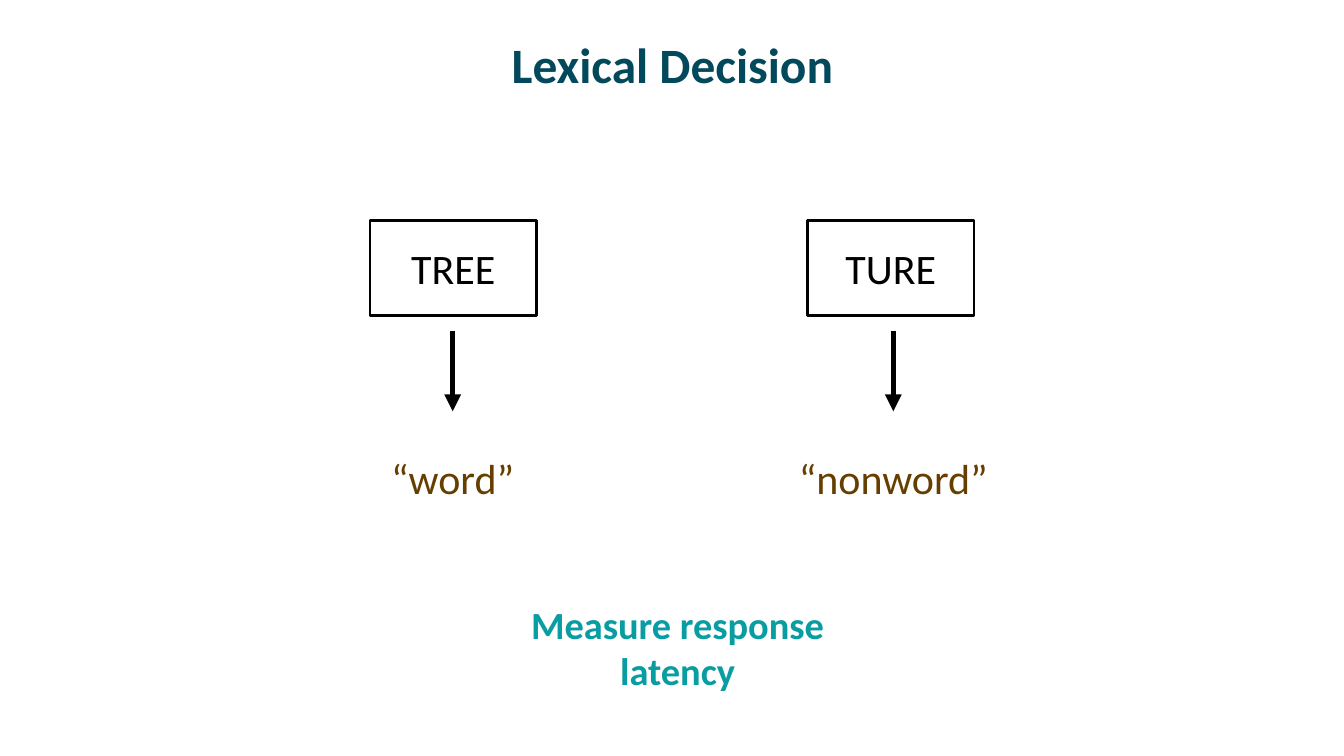
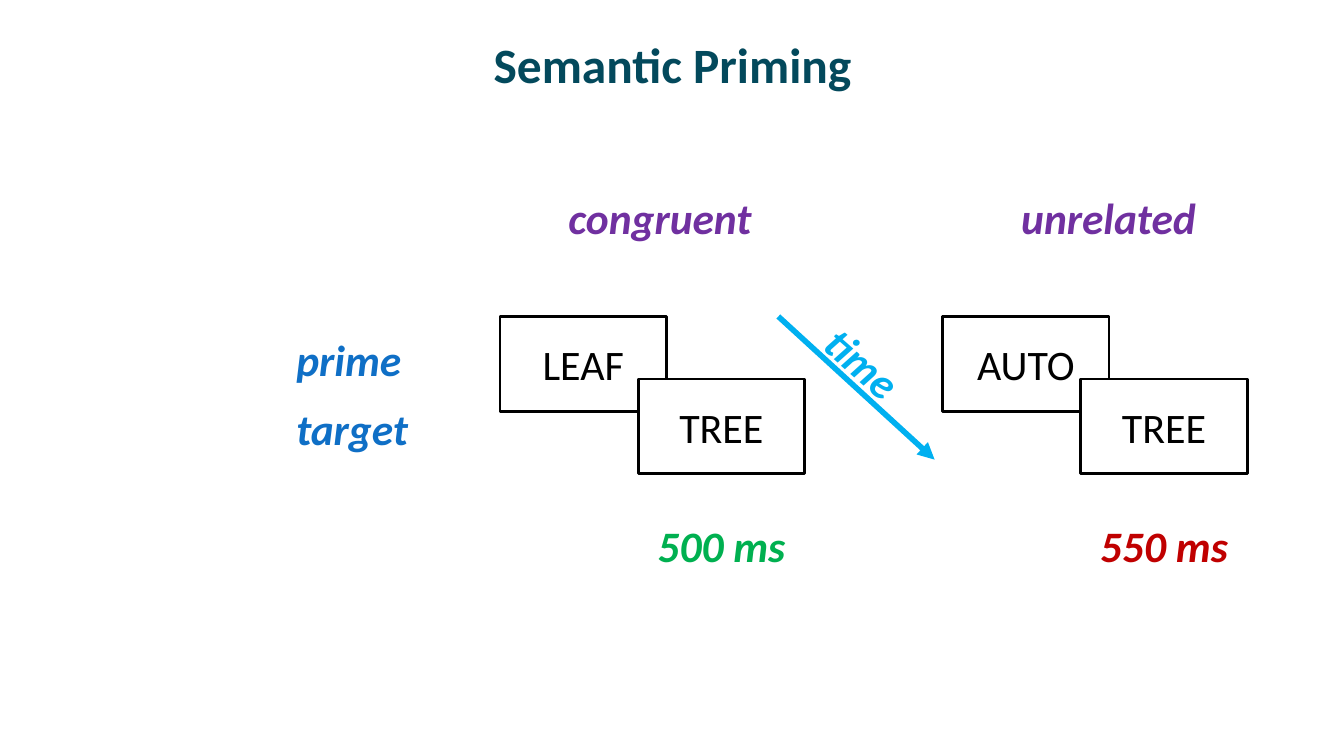
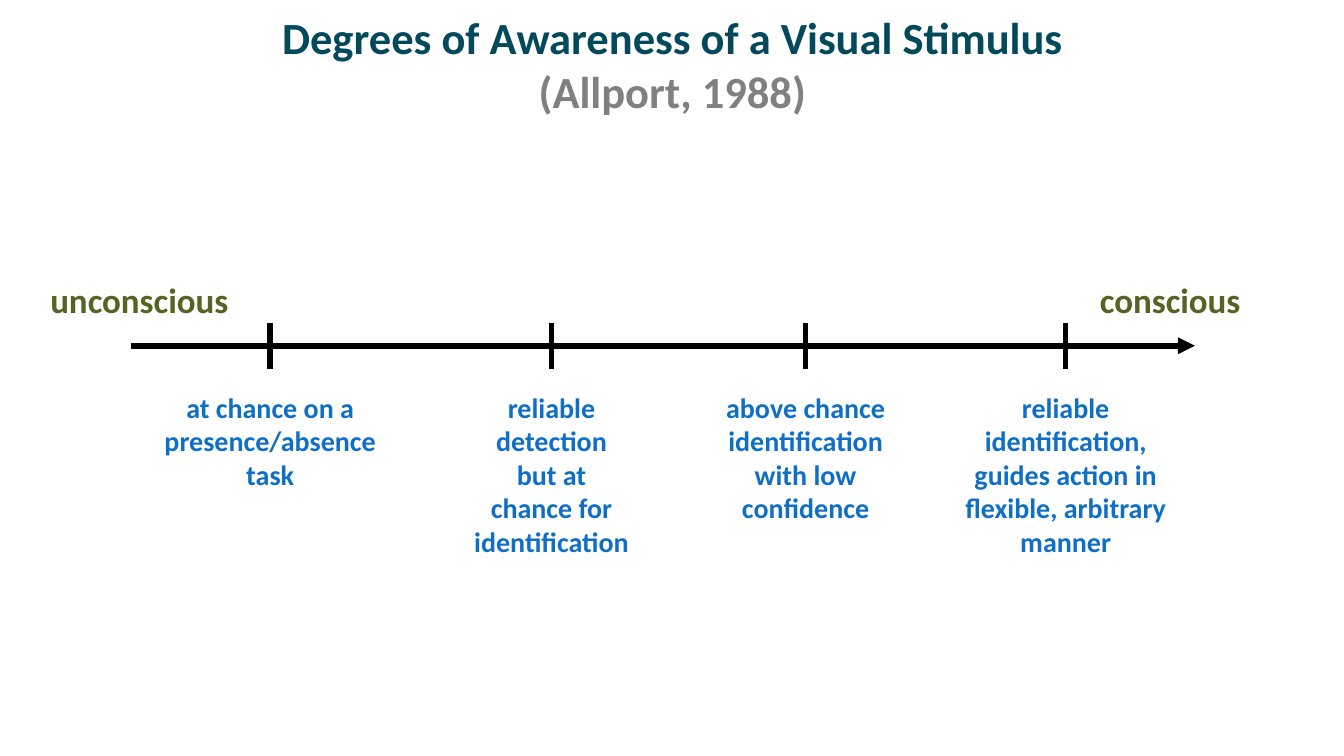
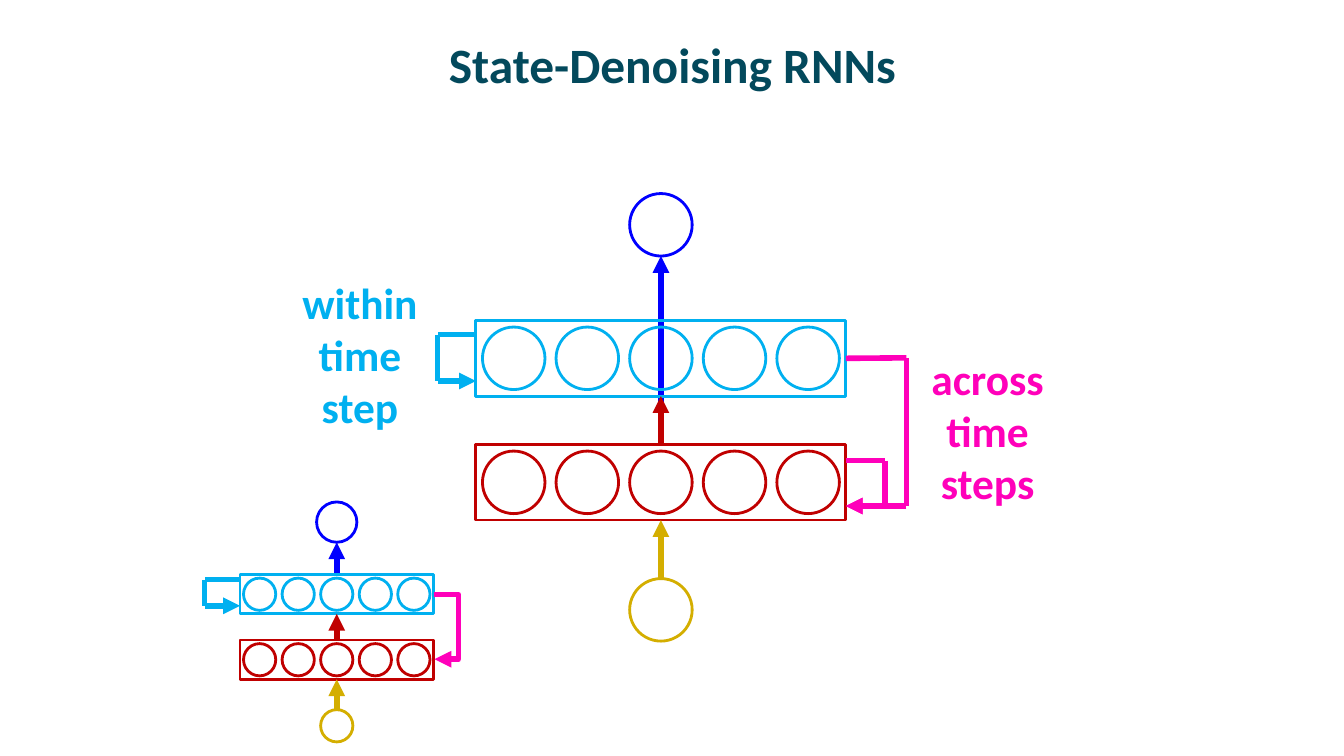
from dataclasses import dataclass

from lxml import etree
from pptx import Presentation
from pptx.dml.color import RGBColor
from pptx.enum.shapes import MSO_CONNECTOR, MSO_SHAPE
from pptx.enum.text import MSO_ANCHOR, MSO_AUTO_SIZE, PP_ALIGN
from pptx.oxml.ns import qn
from pptx.util import Inches, Pt

RECT, OVAL = MSO_SHAPE.RECTANGLE, MSO_SHAPE.OVAL
STRAIGHT, ELBOW = MSO_CONNECTOR.STRAIGHT, MSO_CONNECTOR.ELBOW
CENTER, LEFT = PP_ALIGN.CENTER, PP_ALIGN.LEFT
TOP, BOTTOM, RIGHT = 0, 2, 3


@dataclass(frozen=True)
class Theme:
    font: str = "Calibri"
    title: str = "03495C"
    cite: str = "808080"
    black: str = "000000"
    white: str = "FFFFFF"
    teal: str = "089CA3"
    brown: str = "663F00"
    purple: str = "7030A0"
    blue: str = "0F6FC6"
    sky: str = "00B0F0"
    green: str = "00B050"
    red: str = "C00000"
    olive: str = "546422"
    navy: str = "0000FF"
    gold: str = "D4AE00"
    pink: str = "FF00BA"
    head: float = 35.3
    long: float = 31.8
    label: float = 31
    word: float = 30
    note: float = 27.4
    end: float = 25
    small: float = 20
    edge: float = 2
    thick: float = 4


T = Theme()


def put(slide, kind, at, text="", size=T.word, color=T.black, fill=None, edge=None,
        bold=False, italic=False, align=CENTER):
    """Add a preset shape, or a text box if kind is None; a newline starts a paragraph, \\v a line."""
    area = [Inches(n) for n in at]
    if kind is None:
        shape = slide.shapes.add_textbox(*area)
        shape.text_frame.word_wrap = False
        shape.text_frame.auto_size = MSO_AUTO_SIZE.SHAPE_TO_FIT_TEXT
    else:
        shape = slide.shapes.add_shape(kind, *area)
        shape.shadow.inherit = False
        if fill:
            shape.fill.solid()
            shape.fill.fore_color.rgb = RGBColor.from_string(fill)
        else:
            shape.fill.background()
        if edge:
            shape.line.color.rgb = RGBColor.from_string(edge)
            shape.line.width = Pt(T.edge)
        else:
            shape.line.fill.background()
    if not text:
        return shape
    frame = shape.text_frame
    for i, words in enumerate(text.split("\n")):
        para = frame.add_paragraph() if i else frame.paragraphs[0]
        para.alignment = align
        for j, part in enumerate(words.split("\v")):
            if j:
                para.add_line_break()
            run = para.add_run()
            run.text = part
            font = run.font
            font.name, font.size, font.bold, font.italic = T.font, Pt(size), bold, italic
            font.color.rgb = RGBColor.from_string(color)
    return shape


def link(slide, start, end, color=T.black, arrow=True, kind=STRAIGHT):
    """Add a connector, with an arrowhead at its end if arrow is true."""
    line = slide.shapes.add_connector(kind, *[Inches(n) for n in (*start, *end)])
    line.line.color.rgb = RGBColor.from_string(color)
    line.line.width = Pt(T.thick)
    props = line._element.spPr
    if arrow:
        etree.SubElement(props.find(qn("a:ln")), qn("a:tailEnd"), type="triangle")
    etree.SubElement(props, qn("a:effectLst"))
    return line


prs = Presentation()
prs.slide_width, prs.slide_height = Inches(13.33), Inches(7.5)

# Slides and their titles
slides = []
for size, title, cite in (
    (T.head, "Lexical Decision", ""),
    (T.head, "Semantic Priming", ""),
    (T.long, "Degrees of Awareness of a Visual Stimulus", "(Allport, 1988)"),
    (T.head, "State-Denoising RNNs", ""),
):
    slide = prs.slides.add_slide(prs.slide_layouts[5])
    slides.append(slide)
    head = slide.shapes.title
    head.left, head.top, head.width, head.height = [Inches(n) for n in (0.67, 0.17, 12, 0.92)]
    frame = head.text_frame
    frame.auto_size, frame.word_wrap = MSO_AUTO_SIZE.NONE, True
    frame.vertical_anchor = MSO_ANCHOR.MIDDLE
    para = frame.paragraphs[0]
    para.alignment = CENTER
    for text, color in ((title, T.title), (cite, T.cite)):
        if not text:
            continue
        if para.runs:
            para.add_line_break()
        run = para.add_run()
        run.text = text
        run.font.name, run.font.size, run.font.bold = T.font, Pt(size), True
        run.font.color.rgb = RGBColor.from_string(color)
lexical, priming, degrees, network = slides

CARD = (1.65, 0.94)

# Lexical decision
for left, mid, word, reply, wide in (
    (3.67, 4.49, "TREE", "“word”", 1.65),
    (8.01, 8.86, "TURE", "“nonword”", 2.19),
):
    put(lexical, RECT, (left, 2.19, *CARD), word, fill=T.white, edge=T.black)
    link(lexical, (mid, 3.28), (mid, 4.08))
    put(lexical, RECT, (mid - wide / 2, 4.27, wide, 0.94), reply, color=T.brown, fill=T.white)
put(lexical, None, (4.57, 5.91, 4.3, 0.56), "Measure response latency", T.note, T.teal, bold=True)

# Semantic priming
slant = dict(size=T.label, bold=True, italic=True)
for left, tag, spot, wide, prime, delay, color in (
    (4.96, "congruent", 5.54, 2.04, "LEAF", "500 ms", T.green),
    (9.35, "unrelated", 10.03, 1.96, "AUTO", "550 ms", T.red),
):
    put(priming, None, (spot, 1.85, wide, 0.62), tag, color=T.purple, align=LEFT, **slant)
    put(priming, RECT, (left, 3.14, *CARD), prime, fill=T.white, edge=T.black)
    put(priming, RECT, (left + 1.37, 3.76, *CARD), "TREE", fill=T.white, edge=T.black)
    put(priming, None, (left + 1.37, 5.1, 1.65, 0.62), delay, color=color, **slant)
for top, wide, name in ((3.26, 1.25, "prime"), (3.94, 1.32, "target")):
    put(priming, None, (2.84, top, wide, 0.62), name, color=T.blue, align=LEFT, **slant)
link(priming, (7.72, 3.14), (9.27, 4.56), T.sky)
time = put(priming, None, (8.06, 3.29, 1.02, 0.62), "time", color=T.sky, align=LEFT, **slant)
time.rotation = 41.2

# Degrees of awareness
link(degrees, (1.3, 3.43), (11.85, 3.43))
for mid, wide, text in (
    (2.68, 2.32, "at chance on a\npresence/absence\ntask"),
    (5.47, 1.75, "reliable\ndetection\nbut at\nchance for\nidentification"),
    (7.99, 1.79, "above chance\nidentification\nwith low\nconfidence"),
    (10.57, 2.2, "reliable\videntification,\nguides action in\nflexible, arbitrary\nmanner"),
):
    link(degrees, (mid, 3.2), (mid, 3.66), arrow=False)
    high = 0.1 + 0.34 * len(text.splitlines())
    put(degrees, None, (mid - wide / 2, 3.82, wide, high), text, T.small, T.blue, bold=True)
for left, wide, text in ((0.4, 1.99, "unconscious"), (10.81, 1.62, "conscious")):
    put(degrees, None, (left, 2.71, wide, 0.52), text, T.end, T.olive, bold=True, align=LEFT)

# State-denoising networks: a large one and a small one
UNITS = 5
layers = []
for left, wide, high, tops, unit, out, ring, base, source in (
    (4.72, 3.67, 0.75, (3.18, 4.41), 0.62, 1.92, 0.62, 5.74, 1),
    (2.38, 1.92, 0.39, (5.7, 6.35), 0.32, 4.98, 0.4, 7.04, 0),
):
    mid = left + wide / 2
    inset = (high - unit) / 2
    step = (wide - 2 * inset - unit) / (UNITS - 1)
    result = link(network, (mid, tops[source]), (mid, out + ring), T.navy)
    put(network, OVAL, (mid - ring / 2, out, ring, ring), edge=T.navy)
    start = put(network, OVAL, (mid - unit / 2, base, unit, unit), edge=T.gold)
    rows = []
    for top, color in zip(tops, (T.sky, T.red)):
        for i in range(UNITS):
            put(network, OVAL, (left + inset + i * step, top + inset, unit, unit), edge=color)
        rows.append(put(network, RECT, (left, top, wide, high), edge=color))
    upper, lower = rows
    result.begin_connect(rows[source], TOP)
    feed = link(network, (mid, base), (mid, tops[1] + high), T.gold)
    feed.begin_connect(start, TOP)
    feed.end_connect(lower, BOTTOM)
    rise = link(network, (mid, tops[1]), (mid, tops[0] + high), T.red)
    rise.begin_connect(lower, TOP)
    rise.end_connect(upper, BOTTOM)
    layers.append(upper)

# Feedback loops
for side, far, top, low, color, dock in (
    (8.39, 8.78, 4.57, 5.02, T.pink, None),
    (8.39, 8.99, 3.55, 5.02, T.pink, layers[0]),
    (4.72, 4.34, 3.32, 3.78, T.sky, None),
    (2.38, 2.03, 5.75, 6.01, T.sky, None),
):
    exit = link(network, (side, top), (far, top), color, arrow=False)
    if dock:
        exit.begin_connect(dock, RIGHT)
    link(network, (far, top), (far, low), color, arrow=False)
    link(network, (far, low), (side, low), color)
bend = link(network, (4.3, 5.9), (4.31, 6.54), T.pink, kind=ELBOW)
guides = bend._element.spPr.find(qn("a:prstGeom")).find(qn("a:avLst"))
etree.SubElement(guides, qn("a:gd"), name="adj1", fmla="val 2500000")

for at, text, color in (
    ((2.89, 2.69, 1.36, 1.67), "within\ntime\nstep", T.sky),
    ((9.13, 3.44, 1.33, 1.67), "across\ntime\nsteps", T.pink),
):
    put(network, None, at, text, T.label, color, bold=True)

prs.save("out.pptx")
